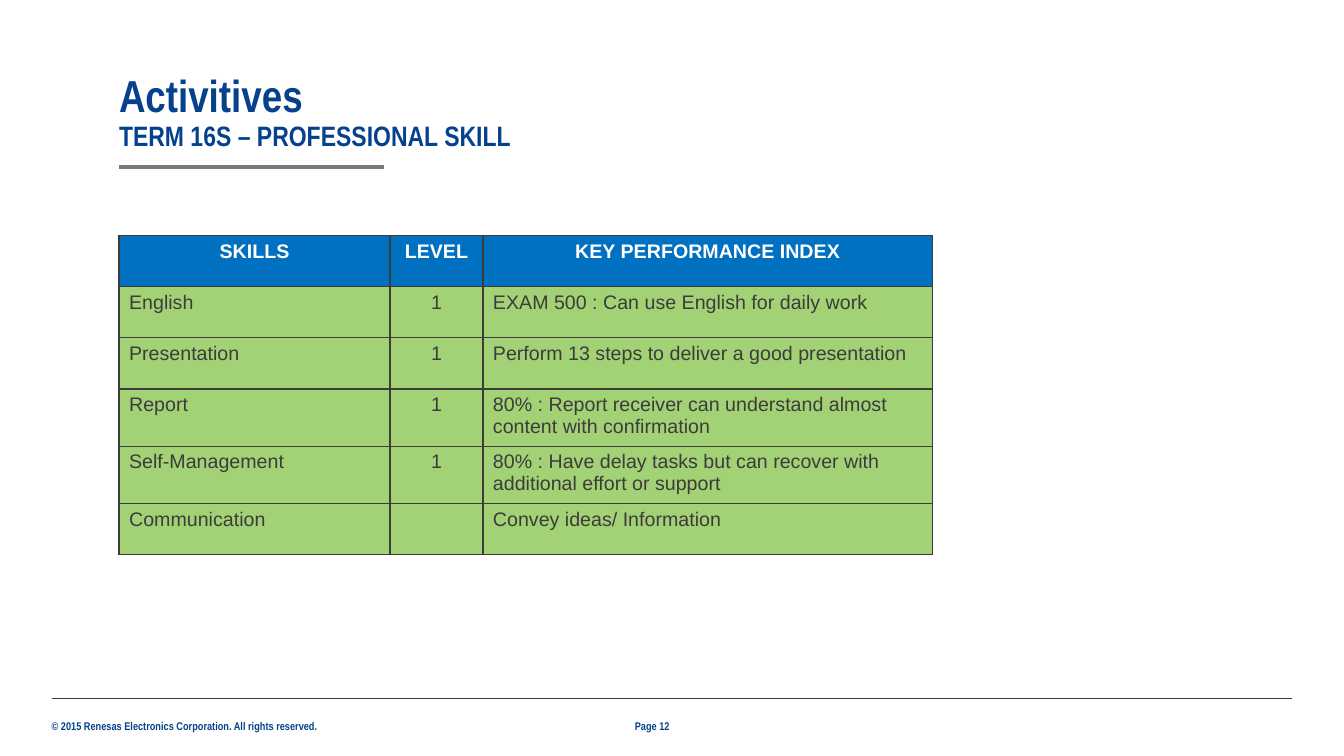
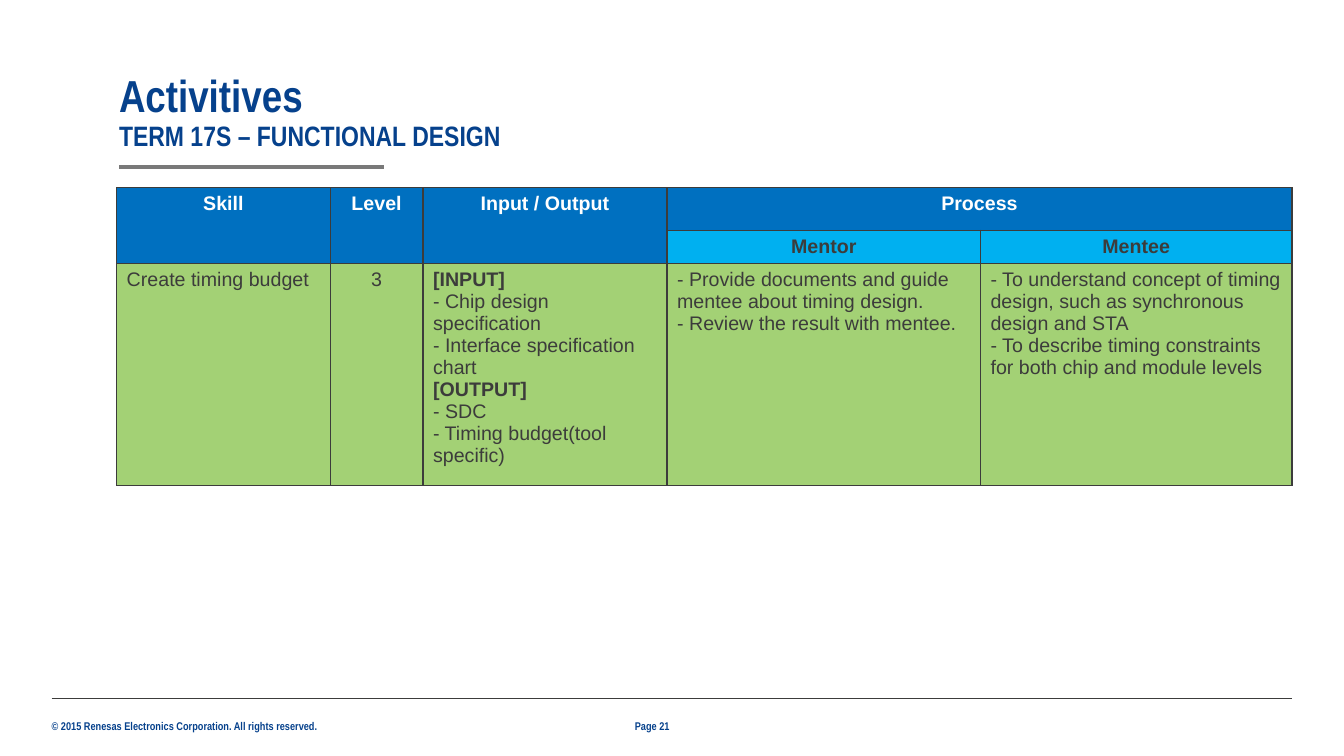
from pptx import Presentation
from pptx.dml.color import RGBColor
from pptx.enum.shapes import MSO_CONNECTOR as Connector
from pptx.enum.text import MSO_ANCHOR as Anchor, PP_ALIGN as Align
from pptx.oxml import parse_xml
from pptx.oxml.ns import nsdecls
from pptx.util import Cm, Pt

NAVY = RGBColor(0x06, 0x41, 0x8C)
INK = RGBColor(0x3C, 0x3C, 0x3B)
GREY = RGBColor(0x79, 0x79, 0x79)
WHITE = RGBColor(0xFF, 0xFF, 0xFF)
BLUE = RGBColor(0x00, 0x70, 0xC0)
SKY = RGBColor(0x00, 0xB0, 0xF0)
GREEN = RGBColor(0xA3, 0xD1, 0x75)

HEADING_FONT = "Arial Narrow"
BODY_FONT = "Arial"
BODY_SIZE = 14
LEVEL_COLUMN = 1
COPYRIGHT = "© 2015 Renesas Electronics Corporation. All rights reserved."

# Row styles: (fill, text colour, is heading)
HEAD = (BLUE, WHITE, True)
SUBHEAD = (SKY, INK, True)
BODY = (GREEN, INK, False)


class Deck:
    """Holds the shared style and the slide being built."""

    def __init__(self):
        self.prs = Presentation()
        self.prs.slide_width, self.prs.slide_height = Cm(33.87), Cm(19.05)
        self.slide = None

    def new_slide(self, subtitle, page):
        self.slide = self.prs.slides.add_slide(self.prs.slide_layouts[6])
        # Footer and rules
        self.text(1.3, 18.12, 6.81, 0.33, [(COPYRIGHT, 8)], wrap=False)
        self.rule(1.3, 32.56, 17.6, INK, 0.5)
        self.rule(3, 9.68, 4.2, GREY, 3)
        # Title
        self.text(3, 1.85, 25, 2, [("Activitives", 32), (subtitle, 20)],
                  anchor=Anchor.BOTTOM, spacing=0.9)
        self.text(16, 18.14, 1.85, 0.33, [(f"Page {page}", 8)],
                  anchor=Anchor.MIDDLE)

    def run(self, paragraph, text, size, color, bold, font):
        run = paragraph.add_run()
        run.text = text
        run.font.size, run.font.bold, run.font.name = Pt(size), bold, font
        run.font.color.rgb = color

    def text(self, left, top, width, height, lines, anchor=Anchor.TOP,
             wrap=True, spacing=None):
        box = self.slide.shapes.add_textbox(Cm(left), Cm(top), Cm(width), Cm(height))
        frame = box.text_frame
        frame.margin_left = frame.margin_right = 0
        frame.margin_top = frame.margin_bottom = 0
        frame.word_wrap, frame.vertical_anchor = wrap, anchor
        paragraph = frame.paragraphs[0]
        paragraph.line_spacing = spacing
        for i, (line, size) in enumerate(lines):
            if i:
                paragraph.add_line_break()
            self.run(paragraph, line, size, NAVY, True, HEADING_FONT)

    def rule(self, left, right, y, color, weight):
        line = self.slide.shapes.add_connector(
            Connector.STRAIGHT, Cm(left), Cm(y), Cm(right), Cm(y))
        line.line.color.rgb, line.line.width = color, Pt(weight)
        line._element.spPr.append(parse_xml(f"<a:effectLst {nsdecls('a')}/>"))

    def table(self, left, top, widths, rows, merges=()):
        heights = [row[0] for row in rows]
        table = self.slide.shapes.add_table(
            len(rows), len(widths), Cm(left), Cm(top),
            Cm(sum(widths)), Cm(sum(heights))).table
        table.first_row = table.horz_banding = False
        for column, width in zip(table.columns, widths):
            column.width = Cm(width)
        for r, (height, style, texts) in enumerate(rows):
            table.rows[r].height = Cm(height)
            for c, text in enumerate(texts):
                self.cell(table.cell(r, c), text, style, c == LEVEL_COLUMN)
        for first, last in merges:
            table.cell(*first).merge(table.cell(*last))

    def cell(self, cell, text, style, centered):
        fill, color, heading = style
        self.borders(cell)
        cell.fill.solid()
        cell.fill.fore_color.rgb = fill
        frame = cell.text_frame
        for i, line in enumerate(text.split("\n")):
            paragraph = frame.add_paragraph() if i else frame.paragraphs[0]
            paragraph.alignment = Align.CENTER if heading or centered else Align.LEFT
            if line:
                bold = heading or line.startswith("[")
                self.run(paragraph, line, BODY_SIZE, color, bold, BODY_FONT)
            # The paragraph mark has the text size, so rows do not grow
            paragraph._p.append(parse_xml(
                f'<a:endParaRPr {nsdecls("a")} sz="{BODY_SIZE * 100}"/>'))

    def borders(self, cell):
        properties = cell._tc.get_or_add_tcPr()
        for side in "LRTB":
            properties.append(parse_xml(
                f'<a:ln{side} {nsdecls("a")} w="{Pt(1)}"><a:solidFill>'
                f'<a:srgbClr val="{INK}"/></a:solidFill></a:ln{side}>'))


def main():
    deck = Deck()

    # Professional skills
    deck.new_slide("TERM 16S – PROFESSIONAL SKILL", 12)
    deck.table(3, 5.93, [6.83, 2.34, 11.33], [
        (1.29, HEAD, ["SKILLS", "LEVEL", "KEY PERFORMANCE INDEX"]),
        (1.29, BODY, ["English", "1", "EXAM 500 : Can use English for daily work"]),
        (1.29, BODY, ["Presentation", "1",
                      "Perform 13 steps to deliver a good presentation"]),
        (1.35, BODY, ["Report", "1", "80% : Report receiver can understand almost "
                      "content with confirmation"]),
        (1.35, BODY, ["Self-Management", "1", "80% : Have delay tasks but can "
                      "recover with additional effort or support"]),
        (1.29, BODY, ["Communication", "", "Convey ideas/ Information"]),
    ])

    # Functional design
    deck.new_slide("TERM 17S – FUNCTIONAL DESIGN", 21)
    inputs_outputs = ("[INPUT]\n- Chip design specification\n"
                      "- Interface specification chart\n"
                      "[OUTPUT]\n- SDC\n- Timing budget(tool specific)")
    mentor = ("- Provide documents and guide mentee about timing design.\n"
              "- Review the result with mentee.")
    mentee = ("- To understand concept of timing design, such as synchronous "
              "design and STA\n"
              "- To describe timing constraints for both chip and module levels")
    deck.table(2.94, 4.73, [5.38, 2.34, 6.15, 7.9, 7.85], [
        (1.07, HEAD, ["Skill", "Level", "Input / Output", "Process", ""]),
        (0.82, SUBHEAD, ["", "", "", "Mentor", "Mentee"]),
        (5.23, BODY, ["Create timing budget", "3", inputs_outputs, mentor, mentee]),
    ], merges=[((0, c), (1, c)) for c in range(3)] + [((0, 3), (0, 4))])

    deck.prs.save("out.pptx")


if __name__ == "__main__":
    main()
